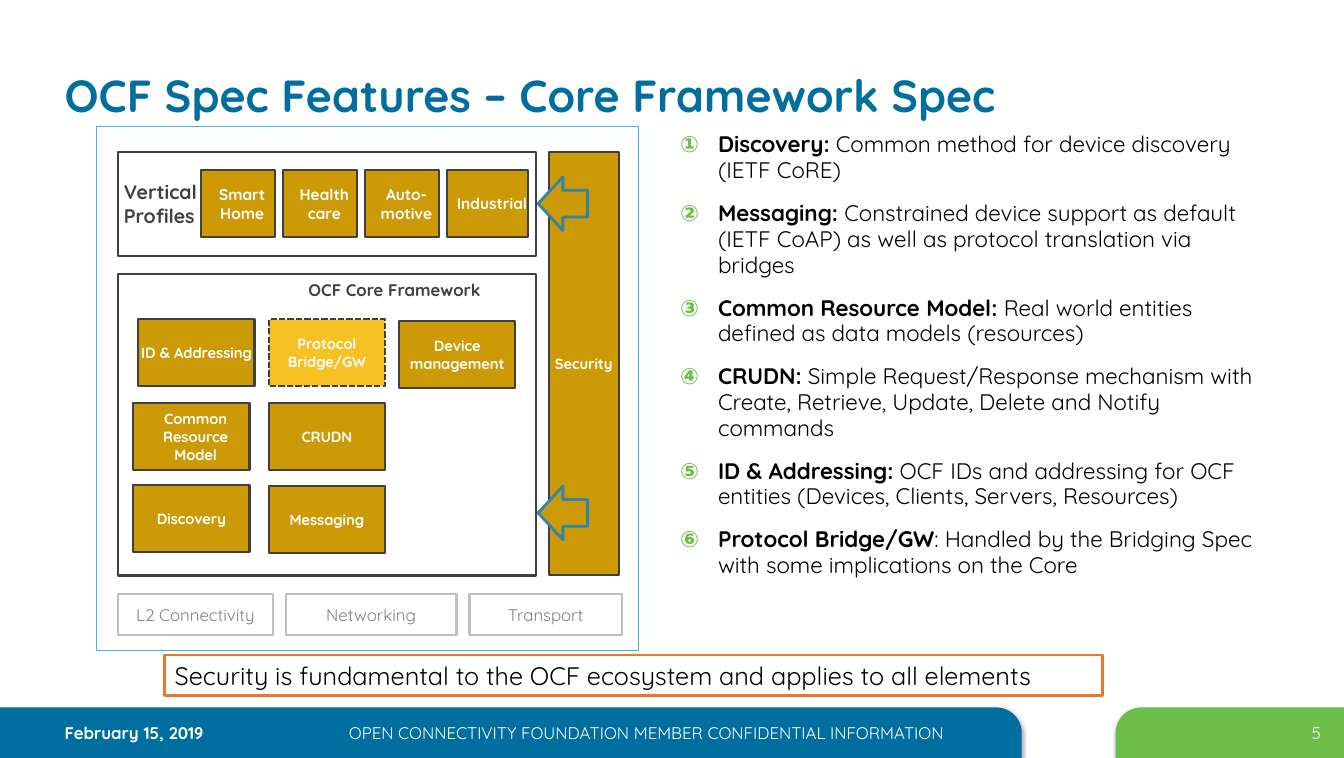
"""Build the slide on the features of the OCF core framework specification."""
from dataclasses import dataclass

from lxml.etree import SubElement
from pptx import Presentation
from pptx.dml.color import RGBColor
from pptx.enum.dml import MSO_LINE
from pptx.enum.shapes import MSO_SHAPE
from pptx.enum.text import MSO_ANCHOR, PP_ALIGN
from pptx.oxml.ns import qn
from pptx.util import Pt


@dataclass(frozen=True)
class Theme:
    font: str = "Quicksand"
    blue: str = "006E9F"
    green: str = "6EBE49"
    gold: str = "CC9A07"
    amber: str = "F7C123"
    orange: str = "E6792B"
    sky: str = "43B3E3"
    steel: str = "3284A8"
    dark: str = "404040"
    grey: str = "808080"
    silver: str = "BFBFBF"
    black: str = "000000"
    white: str = "FFFFFF"
    title: float = 32
    banner: float = 18
    body: float = 16
    group: float = 14
    label: float = 12
    profile: float = 11
    module: float = 10.5


theme = Theme()
presentation = Presentation()
presentation.slide_width, presentation.slide_height = Pt(957.6), Pt(540)
slide = presentation.slides.add_slide(presentation.slide_layouts[6])
ROOMY = (7.2, 3.6, 7.2, 3.6)
TIGHT = (0, 0, 0, 0)
SHIFTED = (6, 0, 0, 0)


def write(paragraph, text, size, color, bold=False, align=PP_ALIGN.LEFT):
    paragraph.alignment = align
    run = paragraph.add_run()
    run.text = text
    run.font.name = theme.font
    run.font.size = Pt(size)
    run.font.bold = bold
    run.font.color.rgb = RGBColor.from_string(color)


def block(kind, box, fill=None, line=None, weight=1.5, text="",
          inset=TIGHT, anchor=MSO_ANCHOR.MIDDLE, **style):
    place = [Pt(length) for length in box]
    if kind is None:
        shape = slide.shapes.add_textbox(*place)
    else:
        shape = slide.shapes.add_shape(kind, *place)
        shape.shadow.inherit = False
    if fill:
        shape.fill.solid()
        shape.fill.fore_color.rgb = RGBColor.from_string(fill)
    else:
        shape.fill.background()
    if line:
        shape.line.color.rgb = RGBColor.from_string(line)
        shape.line.width = Pt(weight)
    else:
        shape.line.fill.background()
    frame = shape.text_frame
    frame.word_wrap = True
    frame.vertical_anchor = anchor
    (frame.margin_left, frame.margin_top,
     frame.margin_right, frame.margin_bottom) = [Pt(side) for side in inset]
    if text:
        for number, words in enumerate(text.split("\n")):
            paragraph = frame.add_paragraph() if number else frame.paragraphs[0]
            write(paragraph, words, **style)
    return shape


for left, width, color, flip in [(0, 728, theme.blue, "0"), (795, 162.6, theme.green, "1")]:
    bar = block(MSO_SHAPE.ROUND_1_RECTANGLE, (left, 504, width, 36), color)
    bar.adjustments[0] = 0.5
    properties = bar.element.spPr
    properties.find(qn("a:xfrm")).set("flipH", flip)
    shadow = SubElement(properties.find(qn("a:effectLst")), qn("a:outerShdw"),
                        blurRad=str(Pt(3.1)), dist=str(Pt(1.8)), dir="5400000", rotWithShape="0")
    shade = SubElement(shadow, qn("a:srgbClr"), val=theme.black)
    SubElement(shade, qn("a:alpha"), val="35000")

block(None, (39, 6.5, 811, 83.5), text="OCF Spec Features – Core Framework Spec",
      inset=ROOMY, anchor=MSO_ANCHOR.BOTTOM, size=theme.title, color=theme.blue, bold=True)

features = [
    ("Discovery:", " Common method for device discovery (IETF CoRE)"),
    ("Messaging:", " Constrained device support as default (IETF CoAP) as well as "
                   "protocol translation via bridges"),
    ("Common Resource Model:", " Real world entities defined as data models (resources)"),
    ("CRUDN:", " Simple Request/Response mechanism with Create, Retrieve, Update, "
               "Delete and Notify commands"),
    ("ID & Addressing:", " OCF IDs and addressing for OCF entities "
                         "(Devices, Clients, Servers, Resources)"),
    ("Protocol Bridge/GW", ": Handled by the Bridging Spec with some implications on the Core"),
]
feature_list = block(None, (477.5, 90.7, 430.5, 356.4), inset=ROOMY,
                     anchor=MSO_ANCHOR.TOP).text_frame
for number, (term, meaning) in enumerate(features):
    feature = feature_list.add_paragraph() if number else feature_list.paragraphs[0]
    write(feature, term, theme.body, theme.black, bold=True)
    write(feature, meaning, theme.body, theme.black)
    feature.line_spacing = 0.96
    feature.space_before = Pt(6 if number else 3)
    feature.space_after = Pt(6)
    layout = feature._p.get_or_add_pPr()
    layout.set("marL", str(Pt(27)))
    layout.set("indent", str(Pt(-27)))
    SubElement(SubElement(layout, qn("a:buClr")), qn("a:srgbClr"), val=theme.green)
    SubElement(layout, qn("a:buAutoNum"), type="circleNumDbPlain")

block(MSO_SHAPE.RECTANGLE, (68.4, 90, 386.6, 373), line=theme.sky, weight=0.5)
block(MSO_SHAPE.RECTANGLE, (84.2, 195, 298, 215), theme.white, theme.dark)
block(MSO_SHAPE.RECTANGLE, (84.2, 108, 298, 74.2), theme.white, theme.dark,
      text="Vertical\nProfiles", inset=(4, 0, 0, 0), size=theme.group, color=theme.dark, bold=True)
block(None, (202.3, 199.4, 157.7, 14.4), text="OCF Core Framework", anchor=MSO_ANCHOR.TOP,
      size=theme.label, color=theme.dark, bold=True, align=PP_ALIGN.CENTER)

left = 84.2
for layer, width in [("L2 Connectivity", 110.2), ("Networking", 121.7), ("Transport", 108.7)]:
    block(MSO_SHAPE.RECTANGLE, (left, 423.4, width, 28.8), theme.white, theme.silver,
          text=layer, size=theme.label, color=theme.grey, align=PP_ALIGN.CENTER)
    left += width + 9.2

white_label = dict(color=theme.white, bold=True, align=PP_ALIGN.CENTER)
for number, profile in enumerate(["Smart\nHome", "Health\ncare", "Auto-\nmotive", "Industrial"]):
    width = 57.6 if profile == "Industrial" else 52.6
    block(MSO_SHAPE.RECTANGLE, (143.3 + 58.5 * number, 121.3, width, 47.5), theme.gold, theme.dark,
          text=profile, inset=SHIFTED, size=theme.profile, **white_label)

modules = [
    ("ID & Addressing", 98.6, 227.5),
    ("Protocol\nBridge/GW", 191.5, 227.5),
    ("Device\nmanagement", 284.4, 229),
    ("Common\nResource\nModel", 95, 287.3),
    ("CRUDN", 191.5, 287.3),
    ("Discovery", 95, 345.6),
    ("Messaging", 191.5, 346.3),
]
for module, left, top in modules:
    bridge = module.startswith("Protocol")
    tile = block(MSO_SHAPE.RECTANGLE, (left, top, 82.8, 47.5),
                 theme.amber if bridge else theme.gold, theme.dark, text=module,
                 inset=SHIFTED if module.startswith("Common") else TIGHT,
                 size=theme.module, **white_label)
    if bridge:
        tile.line.dash_style = MSO_LINE.SQUARE_DOT

block(MSO_SHAPE.RECTANGLE, (391, 108, 49.8, 301.7), theme.gold, theme.dark,
      text="Security", size=theme.module, **white_label)
for top in (126, 346.3):
    block(MSO_SHAPE.LEFT_ARROW, (383.4, top, 35.3, 38.2), theme.gold, theme.steel, 2)

block(MSO_SHAPE.RECTANGLE, (117.4, 466.6, 668.2, 29), theme.white, theme.orange, 2,
      text="Security is fundamental to the OCF ecosystem and applies to all elements",
      inset=ROOMY, anchor=MSO_ANCHOR.TOP, size=theme.banner, color=theme.black)

footers = [
    ("February 15, 2019", 39, 183, True, PP_ALIGN.LEFT),
    ("OPEN CONNECTIVITY FOUNDATION MEMBER CONFIDENTIAL INFORMATION",
     235.4, 450.7, False, PP_ALIGN.CENTER),
    ("5", 851.8, 96.5, False, PP_ALIGN.RIGHT),
]
for words, left, width, bold, align in footers:
    block(None, (left, 511.2, width, 21), text=words, inset=ROOMY, anchor=MSO_ANCHOR.TOP,
          size=theme.label, color=theme.white, bold=bold, align=align)

presentation.save("out.pptx")
